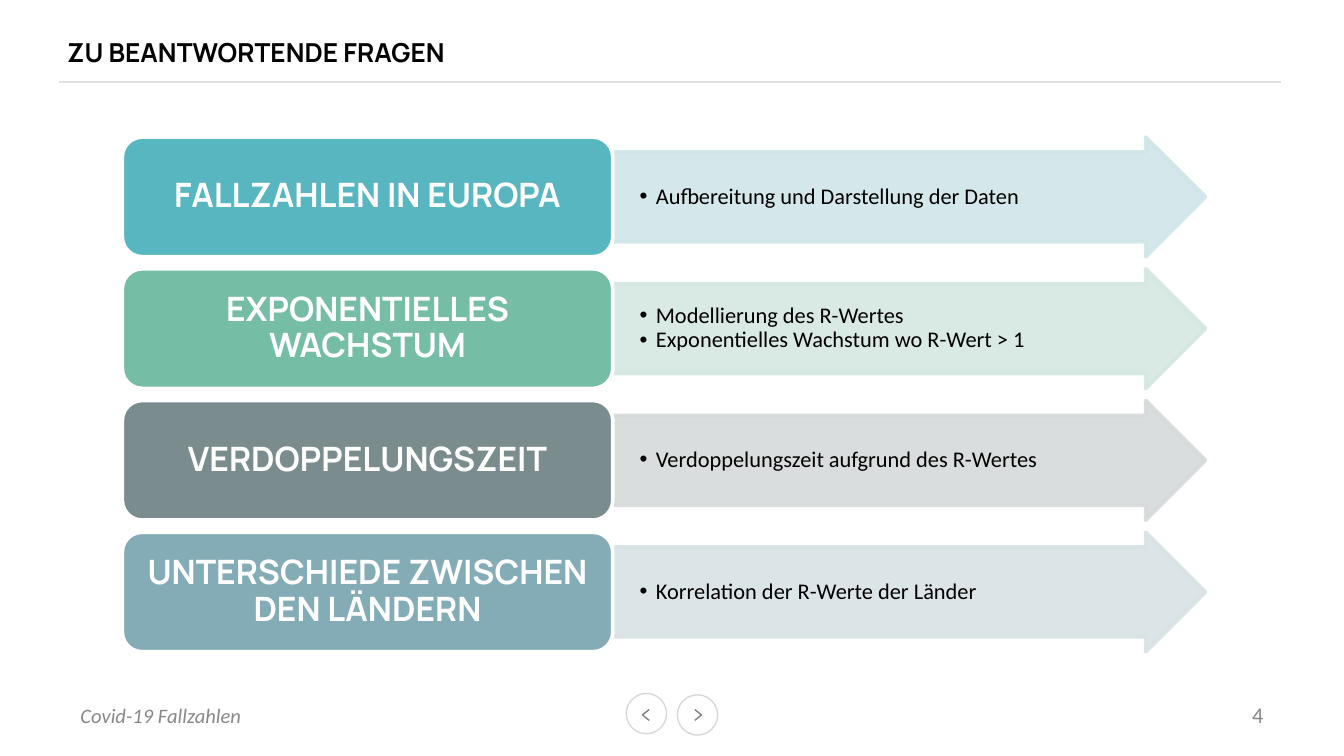
from lxml import etree
from pptx import Presentation
from pptx.dml.color import RGBColor
from pptx.enum.shapes import MSO_CONNECTOR, MSO_SHAPE
from pptx.enum.text import MSO_ANCHOR, MSO_AUTO_SIZE, PP_ALIGN
from pptx.oxml.ns import qn
from pptx.util import Inches, Pt

OVAL = MSO_SHAPE.OVAL
ARROW = MSO_SHAPE.RIGHT_ARROW
ROUNDED = MSO_SHAPE.ROUNDED_RECTANGLE
STRAIGHT = MSO_CONNECTOR.STRAIGHT
MIDDLE = MSO_ANCHOR.MIDDLE
LEFT, CENTER, RIGHT = PP_ALIGN.LEFT, PP_ALIGN.CENTER, PP_ALIGN.RIGHT
NO_FIT = MSO_AUTO_SIZE.NONE
HEAD_FONT, BODY_FONT = "Manrope", "Calibri"

ROW_TOP, ROW_STEP, ROW_HEIGHT = 1.02, 0.98, 0.89

# Heading, box colour, arrow colour, bullets
QUESTIONS = [
    ("FALLZAHLEN IN EUROPA", "58B6C0", "D0E5E8",
     ["Aufbereitung und Darstellung der Daten"]),
    ("EXPONENTIELLES WACHSTUM", "75BDA5", "D5E7E1",
     ["Modellierung des R-Wertes", "Exponentielles Wachstum wo R-Wert > 1"]),
    ("VERDOPPELUNGSZEIT", "7A8C8E", "D6DADA",
     ["Verdoppelungszeit aufgrund des R-Wertes"]),
    ("UNTERSCHIEDE ZWISCHEN DEN LÄNDERN", "84ACB6", "D8E2E5",
     ["Korrelation der R-Werte der Länder"]),
]


def rgb(value):
    return RGBColor.from_string(value)


def set_text(sp, text, size, font, color, align=LEFT, bold=False,
             italic=False, insets=(0.1, 0.05, 0.1, 0.05), spacing=None):
    tf = sp.text_frame
    tf.text = text
    tf.word_wrap = True
    tf.auto_size = NO_FIT
    tf.vertical_anchor = MIDDLE
    tf.margin_left, tf.margin_top, tf.margin_right, tf.margin_bottom = map(
        Inches, insets)
    for p in tf.paragraphs:
        p.alignment = align
        p.line_spacing = spacing
        for r in p.runs:
            r.font.size = Pt(size)
            r.font.name = font
            r.font.bold = bold
            r.font.italic = italic
            r.font.color.rgb = rgb(color)


def add_shape(s, kind, box, fill, line, width):
    sp = s.shapes.add_shape(kind, *map(Inches, box))
    sp.shadow.inherit = False
    if fill:
        sp.fill.solid()
        sp.fill.fore_color.rgb = rgb(fill)
    else:
        sp.fill.background()
    sp.line.color.rgb = rgb(line)
    sp.line.width = Pt(width)
    return sp


def add_line(s, start, end, color):
    line = s.shapes.add_connector(STRAIGHT, *map(Inches, start + end))
    line.line.color.rgb = rgb(color)
    line.line.width = Pt(0.75)
    etree.SubElement(line._element.spPr, qn("a:effectLst"))


def add_label(s, box, text, size, **style):
    sp = s.shapes.add_textbox(*map(Inches, box))
    set_text(sp, text, size, BODY_FONT, "888888", **style)


def set_opacity(sp, percent):
    for color in sp._element.spPr.iter(qn("a:srgbClr")):
        etree.SubElement(color, qn("a:alpha"), val=str(percent * 1000))


def add_bullets(sp):
    for p in sp.text_frame.paragraphs:
        pPr = p._p.get_or_add_pPr()
        pPr.set("marL", str(Inches(0.12)))
        pPr.set("indent", str(Inches(-0.12)))
        etree.SubElement(pPr, qn("a:buFont"), typeface="Arial")
        etree.SubElement(pPr, qn("a:buChar"), char="•")


def add_title(s, text):
    title = s.shapes.title
    title.left, title.top, title.width, title.height = map(
        Inches, (0.5, 0.19, 6.67, 0.39))
    set_text(title, text, 14, HEAD_FONT, "000000", bold=True,
             insets=(0, 0, 0, 0))


def add_nav_button(s, left, top, tip, tail):
    add_shape(s, OVAL, (left, top, 0.3, 0.3), None, "D8D8D8", 0.75)
    for dy in (-0.04, 0.04):
        add_line(s, (tip, 5.32), (tail, 5.32 + dy), "7F7F7F")


def add_question(s, top, heading, box_color, arrow_color, bullets):
    arrow = add_shape(s, ARROW, (4.56, top, 4.41, ROW_HEIGHT),
                      arrow_color, arrow_color, 2)
    arrow.adjustments[0] = 0.75
    arrow.adjustments[1] = 0.5
    set_opacity(arrow, 90)
    set_text(arrow, "\n".join(bullets), 12, BODY_FONT, "000000",
             insets=(0.2, 0.01, 0.01, 0.01), spacing=0.9)
    add_bullets(arrow)

    box = add_shape(s, ROUNDED, (0.91, top, 3.65, ROW_HEIGHT),
                    box_color, "FFFFFF", 2)
    set_text(box, heading, 18, HEAD_FONT, "FFFFFF", align=CENTER, bold=True,
             insets=(0.07, 0.04, 0.07, 0.04), spacing=0.9)


def main():
    # Widescreen slide, 16:9
    prs = Presentation()
    prs.slide_width = Inches(10)
    prs.slide_height = prs.slide_width * 9 // 16
    s = prs.slides.add_slide(prs.slide_layouts[5])

    # Header
    add_title(s, "ZU BEANTWORTENDE FRAGEN")
    add_line(s, (0.44, 0.61), (9.53, 0.61), "E0E0E0")

    # Question rows
    for i, question in enumerate(QUESTIONS):
        add_question(s, ROW_TOP + i * ROW_STEP, *question)

    # Footer
    add_label(s, (0.5, 5.17, 3.25, 0.3), "Covid-19 Fallzahlen", 11,
              italic=True)
    add_nav_button(s, 4.66, 5.16, tip=4.78, tail=4.83)
    add_nav_button(s, 5.04, 5.17, tip=5.22, tail=5.17)
    add_label(s, (7.17, 5.17, 2.33, 0.3), "4", 12, align=RIGHT)

    prs.save("out.pptx")


if __name__ == "__main__":
    main()
